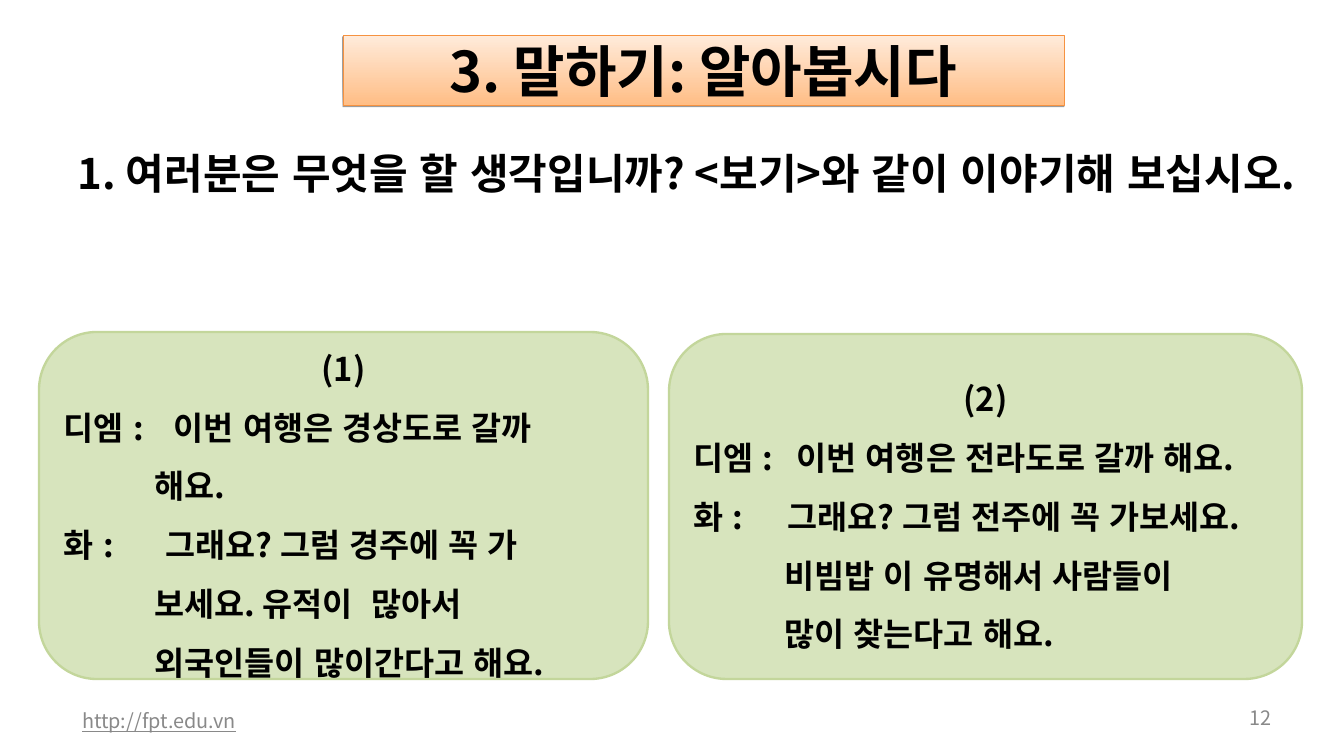
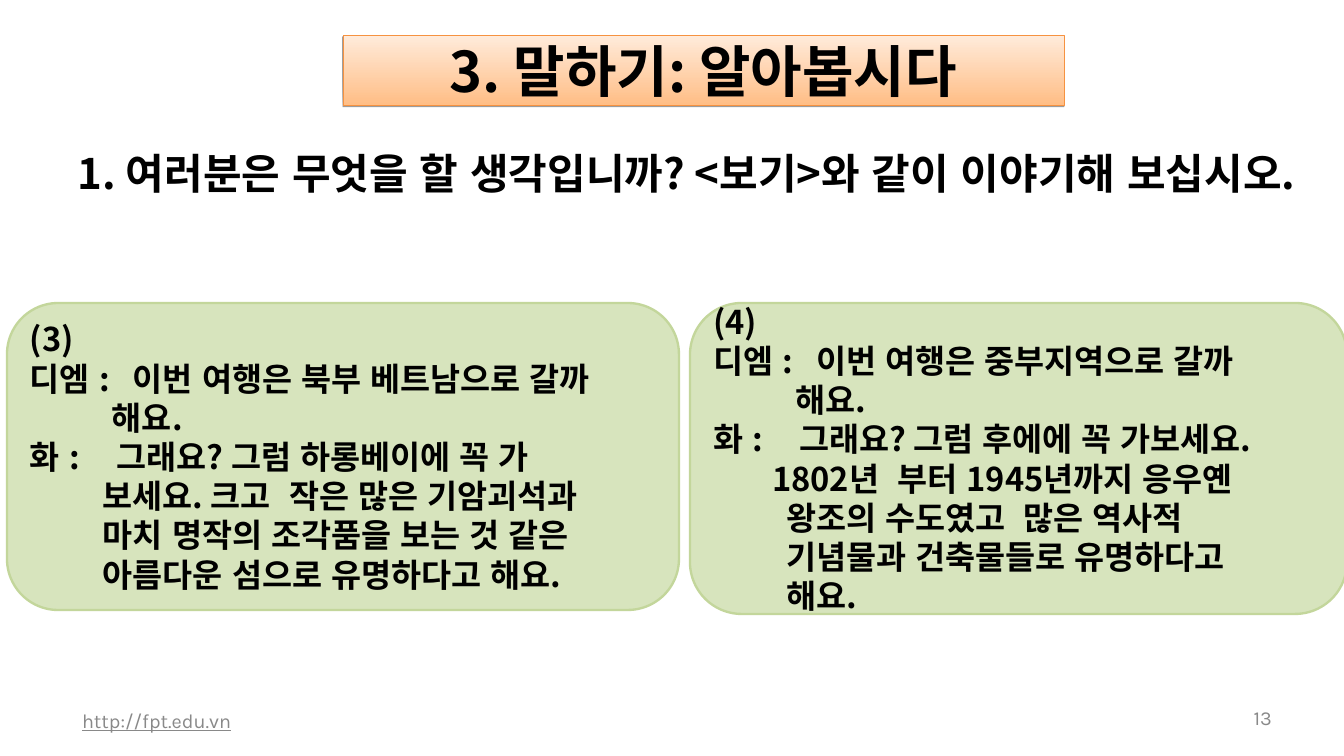
from lxml import etree
from pptx import Presentation
from pptx.dml.color import RGBColor
from pptx.enum.lang import MSO_LANGUAGE_ID
from pptx.enum.shapes import MSO_SHAPE
from pptx.enum.text import MSO_ANCHOR, MSO_AUTO_SIZE, PP_ALIGN
from pptx.oxml.ns import qn
from pptx.util import Emu, Pt

RECT, ROUND = MSO_SHAPE.RECTANGLE, MSO_SHAPE.ROUNDED_RECTANGLE
TOP, MIDDLE = MSO_ANCHOR.TOP, MSO_ANCHOR.MIDDLE
LEFT, CENTER, RIGHT = PP_ALIGN.LEFT, PP_ALIGN.CENTER, PP_ALIGN.RIGHT
GROW = MSO_AUTO_SIZE.SHAPE_TO_FIT_TEXT
KOREAN = MSO_LANGUAGE_ID.KOREAN

PX = 914400 / 84
SANS, KARLA = "Noto Sans CJK KR", "Karla"
BLACK, GREY = "000000", "898989"
GREEN, GREEN_EDGE = "D7E4BD", "C3D69B"
ORANGE, PEACH, ORANGE_EDGE = "FFBE86", "FFEBDB", "F69240"

TITLE_BOX = (343, 35, 721, 70)
TASK_BOX = (70, 144, 1260, 109)
LINK_BOX = (70, 701, 426, 40)
NUMBER_BOX = (1218, 701, 66, 34)

TITLE_FONT = {"size": Pt(48), "bold": True}
TASK_FONT = {"size": Pt(36), "bold": True}
TALK_FONT = {"size": Pt(28), "bold": True}
FOOT_FONT = {"size": Pt(17)}

SLIDES = [
    {"number": "12", "foot_face": SANS, "spacing": 1.5, "head_align": CENTER, "talks": [
        ((39, 332, 609, 347), "(1)", [
            (110, "디엠 :", "이번 여행은 경상도로 갈까"),
            (91, "", "해요."),
            (102, "화 :", "그래요? 그럼 경주에 꼭 가"),
            (91, "", "보세요. 유적이  많아서"),
            (91, "", "외국인들이 많이간다고 해요.")]),
        ((669, 334, 633, 345), "(2)", [
            (103, "디엠 :", "이번 여행은 전라도로 갈까 해요."),
            (94, "화 :", "그래요? 그럼 전주에 꼭 가보세요."),
            (91, "", "비빔밥 이 유명해서 사람들이"),
            (91, "", "많이 찾는다고 해요.")])]},
    {"number": "13", "foot_face": KARLA, "spacing": 1.0, "head_align": LEFT, "talks": [
        ((690, 303, 657, 311), "(4)", [
            (103, "디엠 :", "이번 여행은 중부지역으로 갈까"),
            (82, "", "해요."),
            (86, "화 :", "그래요? 그럼 후에에 꼭 가보세요."),
            (59, "", "1802년  부터 1945년까지 응우옌"),
            (73, "", "왕조의 수도였고  많은 역사적"),
            (73, "", "기념물과 건축물들로 유명하다고"),
            (73, "", "해요.")]),
        ((7, 303, 672, 307), "(3)", [
            (103, "디엠 :", "이번 여행은 북부 베트남으로 갈까"),
            (82, "", "해요."),
            (87, "화 :", "그래요? 그럼 하롱베이에 꼭 가"),
            (73, "", "보세요. 크고  작은 많은 기암괴석과"),
            (73, "", "마치 명작의 조각품을 보는 것 같은"),
            (73, "", "아름다운 섬으로 유명하다고 해요.")])]},
]


def px(n):
    return Emu(round(n * PX))


def rgb(value):
    return RGBColor.from_string(value)


def frame(sp, anchor, inset=(8, 4)):
    tf = sp.text_frame
    side, end = map(px, inset)
    for name, value in {"word_wrap": True, "vertical_anchor": anchor,
                        "margin_left": side, "margin_right": side,
                        "margin_top": end, "margin_bottom": end}.items():
        setattr(tf, name, value)
    return tf


def write(p, text, font, face=SANS, color=BLACK, align=LEFT):
    p.alignment = align
    p._p.get_or_add_pPr().set("hangingPunct", "0")
    r = p.add_run()
    r.text = text
    for name, value in {**font, "name": face, "language_id": KOREAN}.items():
        setattr(r.font, name, value)
    r.font.color.rgb = rgb(color)
    etree.SubElement(r.font._element, qn("a:ea"), typeface=face)


def add_box(s, kind, box, edge, width):
    sp = s.shapes.add_shape(kind, *map(px, box))
    sp.line.color.rgb = rgb(edge)
    sp.line.width = Pt(width)
    sp.shadow.inherit = False
    return sp


def add_text(s, box, anchor, inset=(8, 4)):
    return frame(s.shapes.add_textbox(*map(px, box)), anchor, inset)


def add_title(s, box):
    sp = add_box(s, RECT, box, ORANGE_EDGE, 0.75)
    sp.fill.gradient()
    sp.fill.gradient_angle = 90
    for stop, color in zip(sp.fill.gradient_stops, (ORANGE, PEACH)):
        stop.color.rgb = rgb(color)
    effects = sp._element.spPr.find(qn("a:effectLst"))
    shadow = etree.SubElement(effects, qn("a:outerShdw"), blurRad="0",
                              dist=str(Pt(1.6)), dir="5400000", rotWithShape="0")
    tone = etree.SubElement(shadow, qn("a:srgbClr"), val=BLACK)
    etree.SubElement(tone, qn("a:alpha"), val="38000")
    write(frame(sp, MIDDLE).paragraphs[0], "3. 말하기: 알아봅시다", TITLE_FONT, align=CENTER)


def add_task(s, box):
    tf = add_text(s, box, TOP)
    tf.auto_size = GROW
    write(tf.paragraphs[0],
          "1. 여러분은 무엇을 할 생각입니까? <보기>와 같이 이야기해 보십시오.", TASK_FONT)


def add_footer(s, number, face):
    link = add_text(s, LINK_BOX, MIDDLE, (12, 6))
    write(link.paragraphs[0], "http://fpt.edu.vn", {**FOOT_FONT, "underline": True}, face, GREY)
    page = add_text(s, NUMBER_BOX, MIDDLE, (12, 6))
    write(page.paragraphs[0], number, FOOT_FONT, face, GREY, RIGHT)


def add_talk(s, box, head, lines, spacing, head_align):
    sp = add_box(s, ROUND, box, GREEN_EDGE, 2)
    sp.fill.solid()
    sp.fill.fore_color.rgb = rgb(GREEN)
    tf = frame(sp, MIDDLE)
    p = tf.paragraphs[0]
    p.line_spacing = spacing
    write(p, head, TALK_FONT, align=head_align)
    for offset, speaker, speech in lines:
        p = tf.add_paragraph()
        pPr = p._p.get_or_add_pPr()
        if speaker:
            tabs = etree.SubElement(pPr, qn("a:tabLst"))
            etree.SubElement(tabs, qn("a:tab"), pos=str(px(offset)), algn="l")
            speech = f"{speaker}\t{speech}"
        else:
            pPr.set("marL", str(px(offset)))
            pPr.set("indent", "0")
        p.line_spacing = spacing
        write(p, speech, TALK_FONT)


def add_slide(prs, number, foot_face, spacing, head_align, talks):
    s = prs.slides.add_slide(prs.slide_layouts[6])
    add_footer(s, number, foot_face)
    add_task(s, TASK_BOX)
    add_title(s, TITLE_BOX)
    for box, head, lines in talks:
        add_talk(s, box, head, lines, spacing, head_align)


def main():
    prs = Presentation()
    prs.slide_width, prs.slide_height = px(1344), px(756)
    for content in SLIDES:
        add_slide(prs, **content)
    prs.save("out.pptx")


if __name__ == "__main__":
    main()
